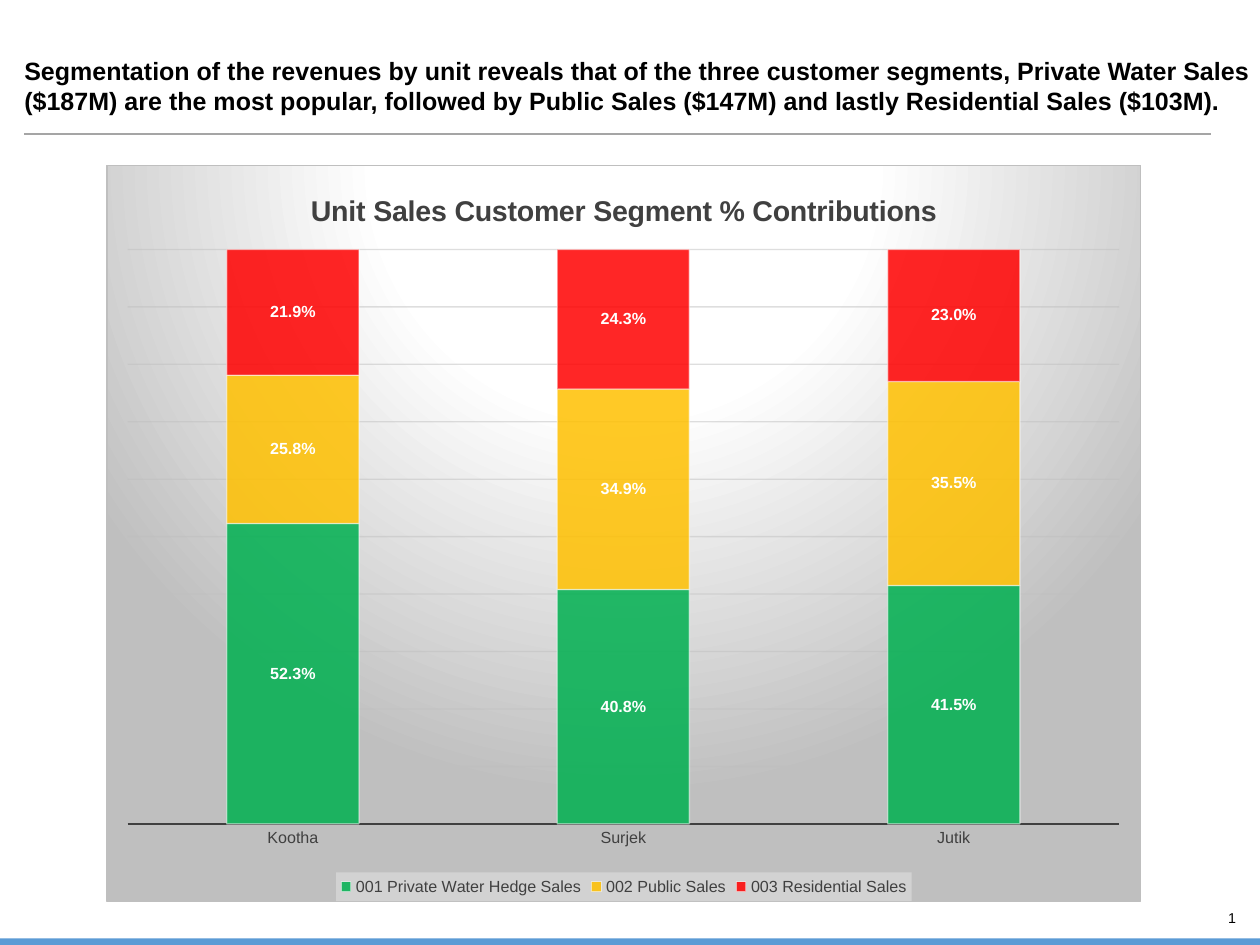
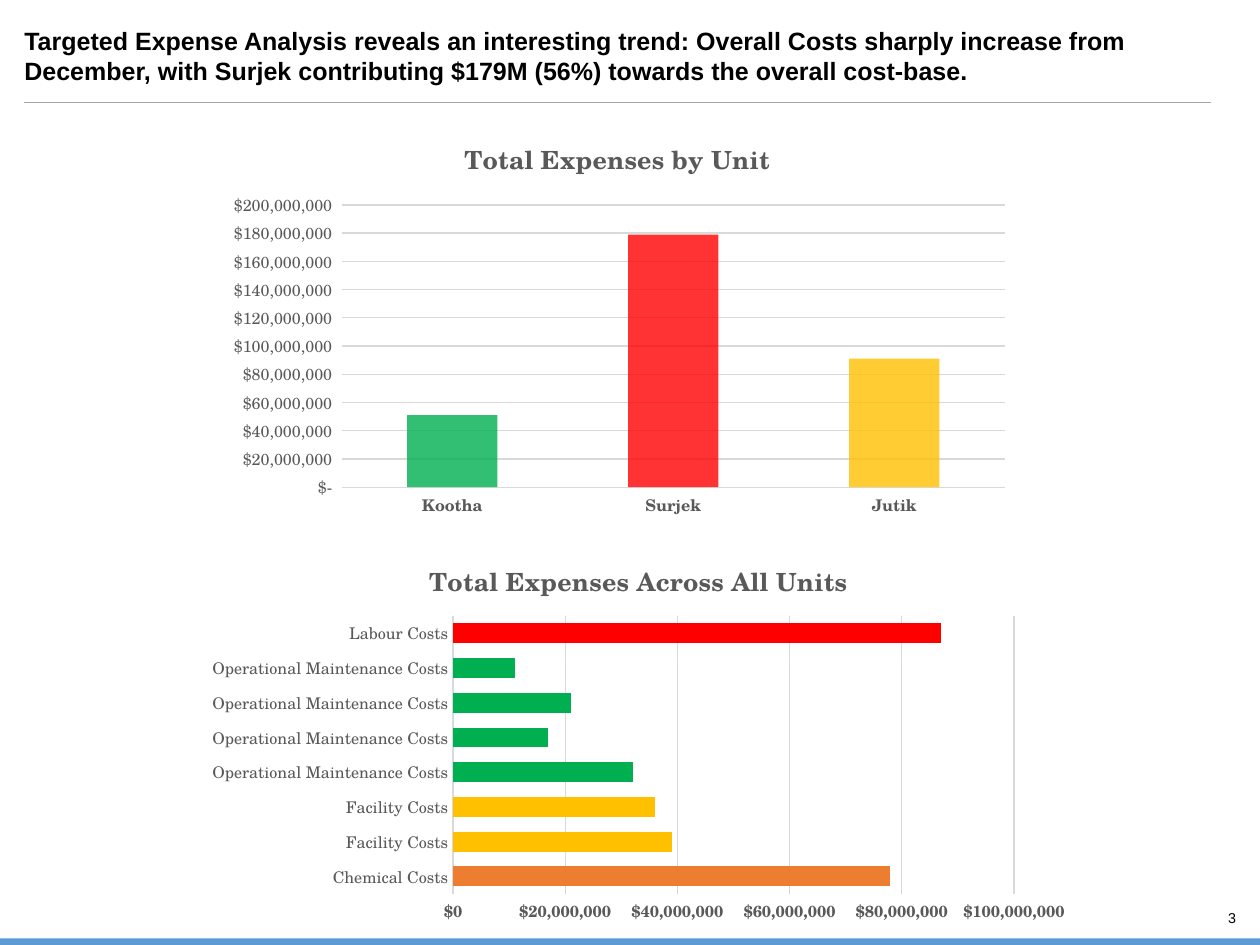
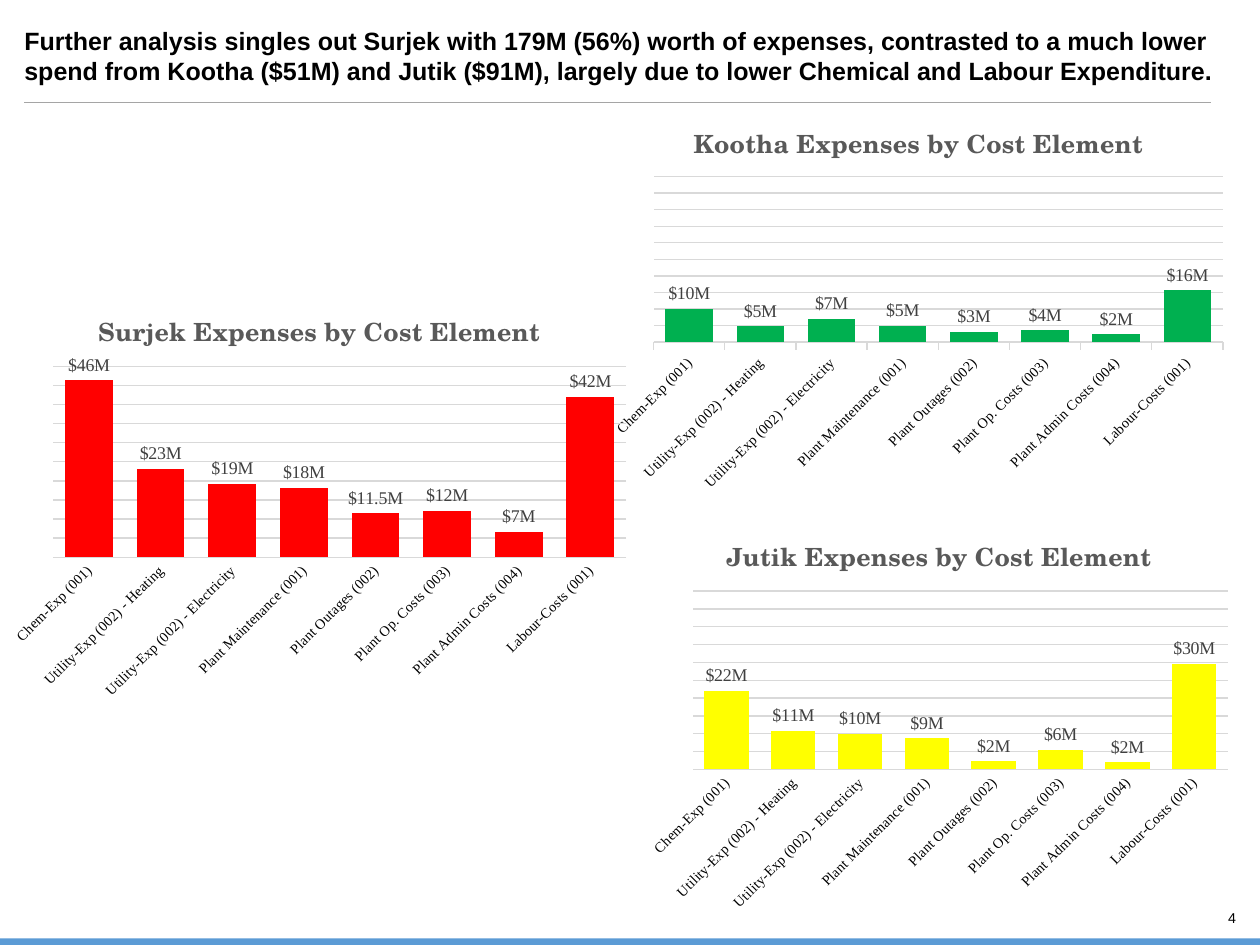
import dataclasses

import lxml.etree
import pptx
import pptx.chart.data
import pptx.dml.color
import pptx.enum.chart
import pptx.enum.shapes
import pptx.enum.text
import pptx.oxml
import pptx.oxml.ns
import pptx.util

Cm = pptx.util.Cm
Pt = pptx.util.Pt
qn = pptx.oxml.ns.qn
ChartType = pptx.enum.chart.XL_CHART_TYPE
LabelPosition = pptx.enum.chart.XL_LABEL_POSITION
TickMark = pptx.enum.chart.XL_TICK_MARK


@dataclasses.dataclass(frozen=True)
class Theme:
    sans: str = "Arial"
    school: str = "TeX Gyre Schola"
    roman: str = "Times New Roman"
    black: str = "000000"
    white: str = "FFFFFF"
    dark: str = "404040"
    gray: str = "595959"
    rule: str = "A5A5A5"
    border: str = "BFBFBF"
    grid: str = "D9D9D9"
    legend: str = "F2F2F2"
    band: str = "5B9BD5"
    green: str = "00B050"
    amber: str = "FFC000"
    red: str = "FF0000"
    orange: str = "ED7D31"
    yellow: str = "FFFF00"
    headline_size: float = 14
    segment_title_size: float = 16
    chart_title_size: float = 14
    value_size: float = 10
    label_size: float = 9
    small_size: float = 8
    hairline: float = 0.75


THEME = Theme()
PAGE_WIDTH, PAGE_HEIGHT = 24.89, 18.67
MARGIN = 0.48
MILLION = 1_000_000
UNITS = ["Kootha", "Surjek", "Jutik"]
COST_ELEMENTS = [
    "Chem-Exp (001)", "Utility-Exp (002) - Heating", "Utility-Exp (002) - Electricity",
    "Plant Maintenance (001)", "Plant Outages (002)", "Plant Op. Costs (003)",
    "Plant Admin Costs (004)", "Labour-Costs (001)",
]
# Labels show whole millions, except the one amount of eleven and a half.
MILLIONS_FORMAT = '[=11500000]"$"0.0,,"M";"$"0,,"M"'


def rgb(color):
    return pptx.dml.color.RGBColor.from_string(color)


def to_dollars(millions):
    return [round(amount * MILLION) for amount in millions]


def set_font(font, name, size, color, bold=False):
    font.name, font.size, font.bold = name, Pt(size), bold
    font.color.rgb = rgb(color)


def set_fill(fill, color, opacity=100):
    fill.solid()
    fill.fore_color.rgb = rgb(color)
    if opacity < 100:
        tint = fill._xPr.find(qn("a:solidFill") + "/" + qn("a:srgbClr"))
        lxml.etree.SubElement(tint, qn("a:alpha")).set("val", str(opacity * 1000))


def set_line(line, color, width=THEME.hairline, opacity=100):
    line.width = Pt(width)
    set_fill(line.fill, color, opacity)


def clear_insets(frame):
    frame.margin_left = frame.margin_right = frame.margin_top = frame.margin_bottom = 0


def add_headline(page, text, top, rule_top):
    title = page.shapes.title
    title.left, title.top = Cm(MARGIN), Cm(top)
    title.width, title.height = Cm(24.28), Cm(1.19)
    frame = title.text_frame
    frame.text = text
    clear_insets(frame)
    frame.word_wrap = True
    frame.auto_size = pptx.enum.text.MSO_AUTO_SIZE.NONE
    frame.vertical_anchor = pptx.enum.text.MSO_ANCHOR.TOP
    para = frame.paragraphs[0]
    para.alignment = pptx.enum.text.PP_ALIGN.LEFT
    set_font(para.font, THEME.sans, THEME.headline_size, THEME.black, True)

    rule = page.shapes.add_connector(
        pptx.enum.shapes.MSO_CONNECTOR.STRAIGHT,
        Cm(MARGIN), Cm(rule_top), Cm(23.93), Cm(rule_top))
    set_line(rule.line, THEME.rule)
    lxml.etree.SubElement(rule._element.spPr, qn("a:effectLst"))


def add_footer(page, number):
    height = 0.13
    band = page.shapes.add_shape(
        pptx.enum.shapes.MSO_SHAPE.RECTANGLE,
        0, Cm(PAGE_HEIGHT - height), Cm(PAGE_WIDTH), Cm(height))
    band.shadow.inherit = False
    set_fill(band.fill, THEME.band)
    band.line.fill.background()

    box = page.shapes.add_textbox(Cm(23.42), Cm(17.98), Cm(1), Cm(0.33))
    frame = box.text_frame
    clear_insets(frame)
    frame.vertical_anchor = pptx.enum.text.MSO_ANCHOR.BOTTOM
    para = frame.paragraphs[0]
    para.text = str(number)
    para.alignment = pptx.enum.text.PP_ALIGN.RIGHT
    set_font(para.font, THEME.sans, THEME.small_size, THEME.black)


def add_page(deck, number, headline, top=0.51, rule_top=2.03):
    page = deck.slides.add_slide(deck.slide_layouts[5])
    add_headline(page, headline, top, rule_top)
    add_footer(page, number)
    return page


def place_plot(chart, box, plot_box):
    """Set the inner plot area; plot_box is in centimetres from the corner of box."""
    area = chart._chartSpace.chart.plotArea
    for layout in area.findall(qn("c:layout")):
        area.remove(layout)
    width, height = box[2:]
    parts = "".join(
        f'<c:{tag} val="{length / whole:.4f}"/>'
        for tag, length, whole in zip("xywh", plot_box, (width, height, width, height)))
    area.insert(0, pptx.oxml.parse_xml(
        f'<c:layout {pptx.oxml.ns.nsdecls("c")}><c:manualLayout>'
        '<c:layoutTarget val="inner"/><c:xMode val="edge"/><c:yMode val="edge"/>'
        f'{parts}</c:manualLayout></c:layout>'))


def add_chart(page, kind, box, plot_box, title, categories, series, gap, overlap,
              maximum, step, title_font):
    """Add a chart with the title, scale and grid that all charts share."""
    data = pptx.chart.data.CategoryChartData()
    data.categories = categories
    for name, values in series.items():
        data.add_series(name, values)
    chart = page.shapes.add_chart(kind, *map(Cm, box), data).chart
    set_font(chart.font, THEME.sans, THEME.value_size, THEME.black)
    chart.has_legend = False
    chart.has_title = True
    para = chart.chart_title.text_frame.paragraphs[0]
    para.text = title
    set_font(para.font, *title_font, True)
    chart.chart_title.include_in_layout = False
    place_plot(chart, box, plot_box)

    plot = chart.plots[0]
    plot.gap_width, plot.overlap = gap, overlap
    plot.vary_by_categories = False
    scale = chart.value_axis
    scale.minimum_scale, scale.maximum_scale, scale.major_unit = 0, maximum, step
    scale.has_major_gridlines = True
    set_line(scale.major_gridlines.format.line, THEME.grid)
    scale.major_tick_mark = TickMark.NONE
    scale.format.line.fill.background()
    chart.category_axis.major_tick_mark = TickMark.NONE
    set_line(chart.category_axis.format.line, THEME.grid)
    return chart


def add_value_labels(plot, number_format, position, *font):
    plot.has_data_labels = True
    labels = plot.data_labels
    labels.show_value = True
    labels.number_format, labels.number_format_is_linked = number_format, False
    labels.position = position
    set_font(labels.font, *font)


def shade_segment_chart(chart):
    namespaces = pptx.oxml.ns.nsdecls("c", "a")
    stops = "".join(
        f'<a:gs pos="{position * 1000}"><a:srgbClr val="{color}"/></a:gs>'
        for position, color in [(0, THEME.white), (39, THEME.white), (100, THEME.border)])
    chart._chartSpace.chart.addnext(pptx.oxml.parse_xml(
        f'<c:spPr {namespaces}><a:gradFill><a:gsLst>{stops}</a:gsLst><a:path path="circle">'
        '<a:fillToRect l="50000" t="-80000" r="50000" b="180000"/></a:path></a:gradFill>'
        f'<a:ln w="{Pt(THEME.hairline)}"><a:solidFill><a:srgbClr val="{THEME.border}"/>'
        '</a:solidFill></a:ln></c:spPr>'))
    chart.legend._element.find(qn("c:txPr")).addprevious(pptx.oxml.parse_xml(
        f'<c:spPr {namespaces}><a:solidFill><a:srgbClr val="{THEME.legend}">'
        '<a:alpha val="39000"/></a:srgbClr></a:solidFill></c:spPr>'))


def add_segment_chart(page, box):
    shares = {
        "001 Private Water Hedge Sales": [0.523, 0.408, 0.415],
        "002 Public Sales": [0.258, 0.349, 0.355],
        "003 Residential Sales": [0.219, 0.243, 0.23],
    }
    chart = add_chart(
        page, ChartType.COLUMN_STACKED, box, (0.41, 1.66, 19.61, 11.37),
        "Unit Sales Customer Segment % Contributions", UNITS, shares, 150, 100, 1, 0.1,
        (THEME.sans, THEME.segment_title_size, THEME.dark))
    chart.value_axis.visible = False
    set_line(chart.value_axis.major_gridlines.format.line, THEME.border, opacity=50)
    set_line(chart.category_axis.format.line, THEME.dark, 1.5)
    label_font = (THEME.sans, THEME.label_size, THEME.dark)
    set_font(chart.category_axis.tick_labels.font, *label_font)
    for series, color in zip(chart.series, [THEME.green, THEME.amber, THEME.red]):
        set_fill(series.format.fill, color, 85)
        set_line(series.format.line, THEME.white, opacity=50)
    add_value_labels(chart.plots[0], "0.0%", LabelPosition.CENTER,
                     THEME.sans, THEME.label_size, THEME.white, True)
    chart.has_legend = True
    chart.legend.position = pptx.enum.chart.XL_LEGEND_POSITION.BOTTOM
    chart.legend.include_in_layout = False
    set_font(chart.legend.font, *label_font)
    shade_segment_chart(chart)


def add_expense_chart(page, kind, box, plot_box, title, bars, gap, overlap, maximum,
                      number_format, opacity, bold_categories):
    """Draw bars given as (category, millions, color)."""
    categories, amounts, colors = zip(*bars)
    chart = add_chart(
        page, kind, box, plot_box, title, categories, {"Series 1": to_dollars(amounts)},
        gap, overlap, maximum * MILLION, 20 * MILLION,
        (THEME.school, THEME.chart_title_size, THEME.gray))
    for index, color in enumerate(colors):
        set_fill(chart.series[0].points[index].format.fill, color, opacity)
    label_font = (THEME.school, THEME.label_size, THEME.gray)
    set_font(chart.category_axis.tick_labels.font, *label_font, bold_categories)
    labels = chart.value_axis.tick_labels
    set_font(labels.font, *label_font, not bold_categories)
    labels.number_format, labels.number_format_is_linked = number_format, False


def add_cost_element_chart(page, box, plot_box, unit, color, amounts, tick=TickMark.NONE):
    chart = add_chart(
        page, ChartType.COLUMN_CLUSTERED, box, plot_box,
        f"{unit} Expenses by Cost Element", COST_ELEMENTS,
        {"Series 1": to_dollars(amounts)}, 50, -27, 50 * MILLION, 5 * MILLION,
        (THEME.school, THEME.chart_title_size, THEME.gray))
    chart.value_axis.visible = False
    set_fill(chart.series[0].format.fill, color)
    axis = chart.category_axis
    axis.major_tick_mark = tick
    set_font(axis.tick_labels.font, THEME.roman, THEME.small_size, THEME.black)
    axis._element.find(qn("c:txPr")).find(qn("a:bodyPr")).set("rot", "-2700000")
    add_value_labels(chart.plots[0], MILLIONS_FORMAT, LabelPosition.OUTSIDE_END,
                     THEME.roman, THEME.value_size, THEME.dark)


def add_revenue_page(deck):
    page = add_page(
        deck, 1,
        "Segmentation of the revenues by unit reveals that of the three customer segments, "
        "Private Water Sales ($187M) are the most popular, followed by Public Sales ($147M) "
        "and lastly Residential Sales ($103M).", top=1.09, rule_top=2.65)
    add_segment_chart(page, (2.1, 3.26, 20.45, 14.56))


def add_expense_page(deck):
    page = add_page(
        deck, 3,
        "Targeted Expense Analysis reveals an interesting trend: Overall Costs sharply "
        "increase from December, with Surjek contributing $179M (56%) towards the overall "
        "cost-base.")
    maintenance = "Operational Maintenance Costs"
    add_expense_chart(
        page, ChartType.BAR_CLUSTERED, (3.84, 10.67, 17.55, 7.72), (5.11, 1.5, 11.08, 5.49),
        "Total Expenses Across All Units",
        [("Chemical Costs", 78, THEME.orange),
         ("Facility Costs", 39, THEME.amber),
         ("Facility Costs", 36, THEME.amber),
         *((maintenance, amount, THEME.green) for amount in (32, 17, 21, 11)),
         ("Labour Costs", 87, THEME.red)],
        gap=75, overlap=0, maximum=100, number_format='"$"#,##0', opacity=100,
        bold_categories=False)
    add_expense_chart(
        page, ChartType.COLUMN_CLUSTERED, (4.22, 2.32, 15.95, 8.03), (2.53, 1.73, 13.1, 5.58),
        "Total Expenses by Unit",
        list(zip(UNITS, [51, 179, 91], [THEME.green, THEME.red, THEME.amber])),
        gap=145, overlap=-27, maximum=200, number_format='"$"#,##0_);;"$-"_)', opacity=80,
        bold_categories=True)


def add_cost_element_page(deck):
    page = add_page(
        deck, 4,
        "Further analysis singles out Surjek with 179M (56%) worth of expenses, contrasted to "
        "a much lower spend from Kootha ($51M) and Jutik ($91M), largely due to lower Chemical "
        "and Labour Expenditure.")
    add_cost_element_chart(
        page, (11.87, 2.01, 12.55, 7.82), (1.04, 1.48, 11.25, 3.27), "Kootha", THEME.green,
        [10.1, 4.7, 7.1, 4.9, 3.1, 3.5, 2.4, 15.6], TickMark.OUTSIDE)
    add_cost_element_chart(
        page, (12.62, 10.16, 11.86, 8), (1.07, 1.52, 10.56, 3.52), "Jutik", THEME.yellow,
        [22, 10.8, 10, 8.7, 2.2, 5.5, 1.9, 29.6])
    add_cost_element_chart(
        page, (0, 5.72, 12.62, 8.2), (1.05, 1.52, 11.32, 3.77), "Surjek", THEME.red,
        [46.3, 23.2, 19.3, 18.2, 11.5, 12.1, 6.6, 42.1])


def main():
    deck = pptx.Presentation()
    deck.slide_width, deck.slide_height = Cm(PAGE_WIDTH), Cm(PAGE_HEIGHT)
    add_revenue_page(deck)
    add_expense_page(deck)
    add_cost_element_page(deck)
    deck.save("out.pptx")


if __name__ == "__main__":
    main()
